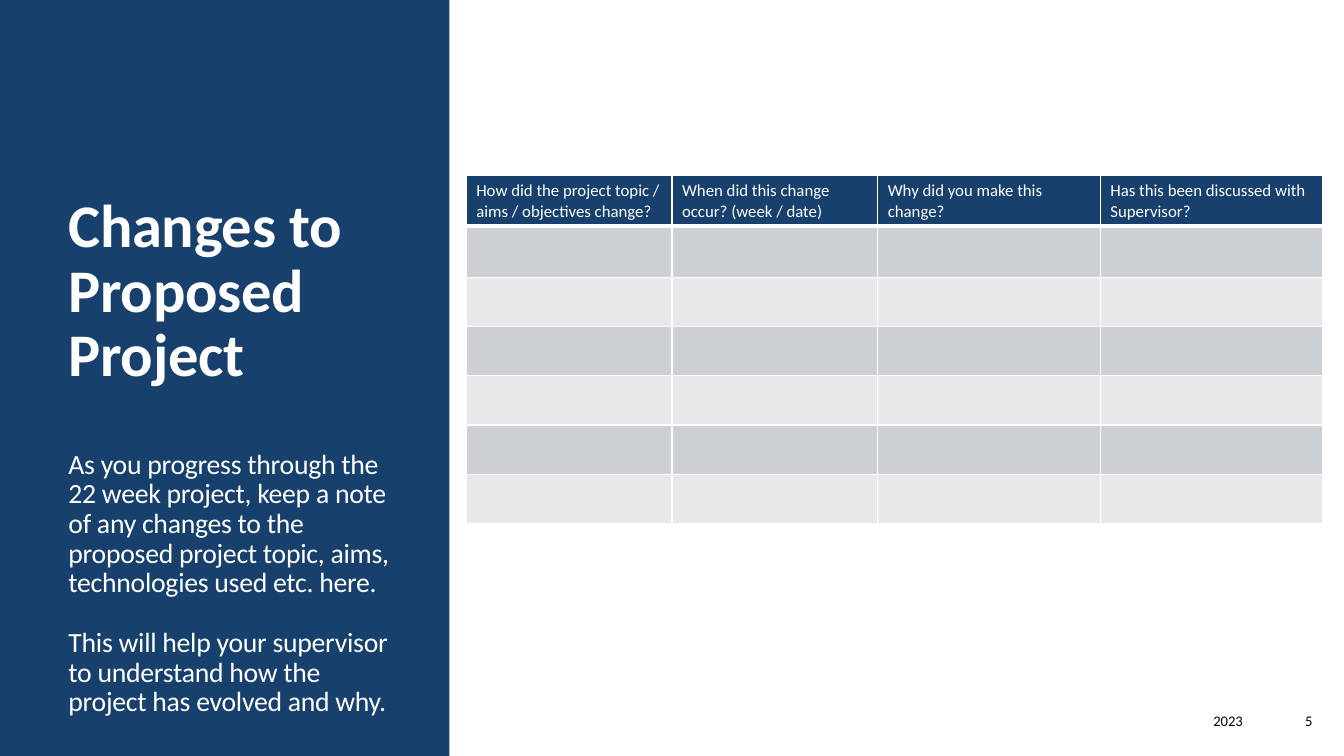
from pptx import Presentation
from pptx.dml.color import RGBColor
from pptx.enum.shapes import MSO_SHAPE as Shape
from pptx.enum.text import MSO_ANCHOR as Anchor, PP_ALIGN as Align
from pptx.oxml.ns import qn
from pptx.util import Pt
from lxml.etree import SubElement

NAVY = RGBColor(0x17, 0x40, 0x6D)
WHITE = RGBColor(0xFF, 0xFF, 0xFF)
BLACK = RGBColor(0x00, 0x00, 0x00)
BANDS = (RGBColor(0xCC, 0xCF, 0xD4), RGBColor(0xE8, 0xE8, 0xEB))
FONT = "Calibri"

TITLE = "Changes to Proposed Project"
GUIDANCE = (
    "As you progress through the 22 week project, keep a note of any changes "
    "to the proposed project topic, aims, technologies used etc. here.",
    "This will help your supervisor to understand how the project has evolved and why.",
)
HEADINGS = (
    "How did the project topic / aims / objectives change?",
    "When did this change occur? (week / date)",
    "Why did you make this change?",
    "Has this been discussed with Supervisor?",
)
COLUMN_WIDTHS = (147, 147, 159, 159)
ROW_HEIGHTS = (36, 36.5) + (35.2,) * 5


def style_para(para, size, colour, bold=False):
    for span in para.runs:
        span.font.name = FONT
        span.font.size = Pt(size)
        span.font.bold = bold
        span.font.color.rgb = colour


def add_text_box(page, left, top, width, height, anchor):
    box = page.shapes.add_textbox(Pt(left), Pt(top), Pt(width), Pt(height))
    box.text_frame.word_wrap = True
    box.text_frame.vertical_anchor = anchor
    return box.text_frame


def add_side_panel(page, left, top, width, height):
    panel = page.shapes.add_shape(Shape.RECTANGLE, Pt(left), Pt(top), Pt(width), Pt(height))
    panel.shadow.inherit = False
    panel.fill.solid()
    panel.fill.fore_color.rgb = NAVY
    panel.line.fill.background()

    frame = add_text_box(page, left + 41.8, top + 61.2, 252.7, 455, Anchor.BOTTOM)
    frame.text = "\n".join((TITLE,) + GUIDANCE)
    looks = ((43.2, True, 0), (19.8, False, 43.5), (19.8, False, 21.5))
    for para, (size, bold, gap) in zip(frame.paragraphs, looks):
        para.line_spacing = 0.89
        para.space_before = Pt(gap)
        style_para(para, size, WHITE, bold)
        for span in para.runs:
            span.font._element.set("spc", "-20")


def set_borders(cell, bottom):
    properties = cell._tc.get_or_add_tcPr()
    for index, (side, width) in enumerate((("L", 1), ("R", 1), ("T", 1), ("B", bottom))):
        line = SubElement(properties, qn(f"a:ln{side}"), w=str(Pt(width)))
        fill = SubElement(line, qn("a:solidFill"))
        SubElement(fill, qn("a:srgbClr"), val=str(WHITE))
        properties.insert(index, line)


def add_changes_table(page, left, top):
    table = page.shapes.add_table(
        len(ROW_HEIGHTS), len(COLUMN_WIDTHS), Pt(left), Pt(top),
        Pt(sum(COLUMN_WIDTHS)), Pt(sum(ROW_HEIGHTS)),
    ).table
    for column, width in zip(table.columns, COLUMN_WIDTHS):
        column.width = Pt(width)
    for number, (row, height) in enumerate(zip(table.rows, ROW_HEIGHTS)):
        row.height = Pt(height)
        for cell, heading in zip(row.cells, HEADINGS):
            cell.fill.solid()
            cell.fill.fore_color.rgb = BANDS[(number - 1) % 2] if number else NAVY
            set_borders(cell, 1 if number else 3)
            if number == 0:
                cell.text = heading
                style_para(cell.text_frame.paragraphs[0], 12, WHITE)


def add_footer(page, left, top, height):
    for text, offset, width in (("2023", 0, 342.7), ("5", 342.7, 49.7)):
        frame = add_text_box(page, left + offset, top, width, height, Anchor.MIDDLE)
        frame.text = text
        para = frame.paragraphs[0]
        para.alignment = Align.RIGHT
        style_para(para, 10.5, BLACK)


def main():
    deck = Presentation()
    deck.slide_width, deck.slide_height = Pt(960), Pt(540)
    page = deck.slides.add_slide(deck.slide_layouts[6])
    add_side_panel(page, 0, 0, 321, 540)
    add_changes_table(page, 333, 125.5)
    add_footer(page, 552.2, 500.4, 28.8)
    deck.save("out.pptx")


if __name__ == "__main__":
    main()
